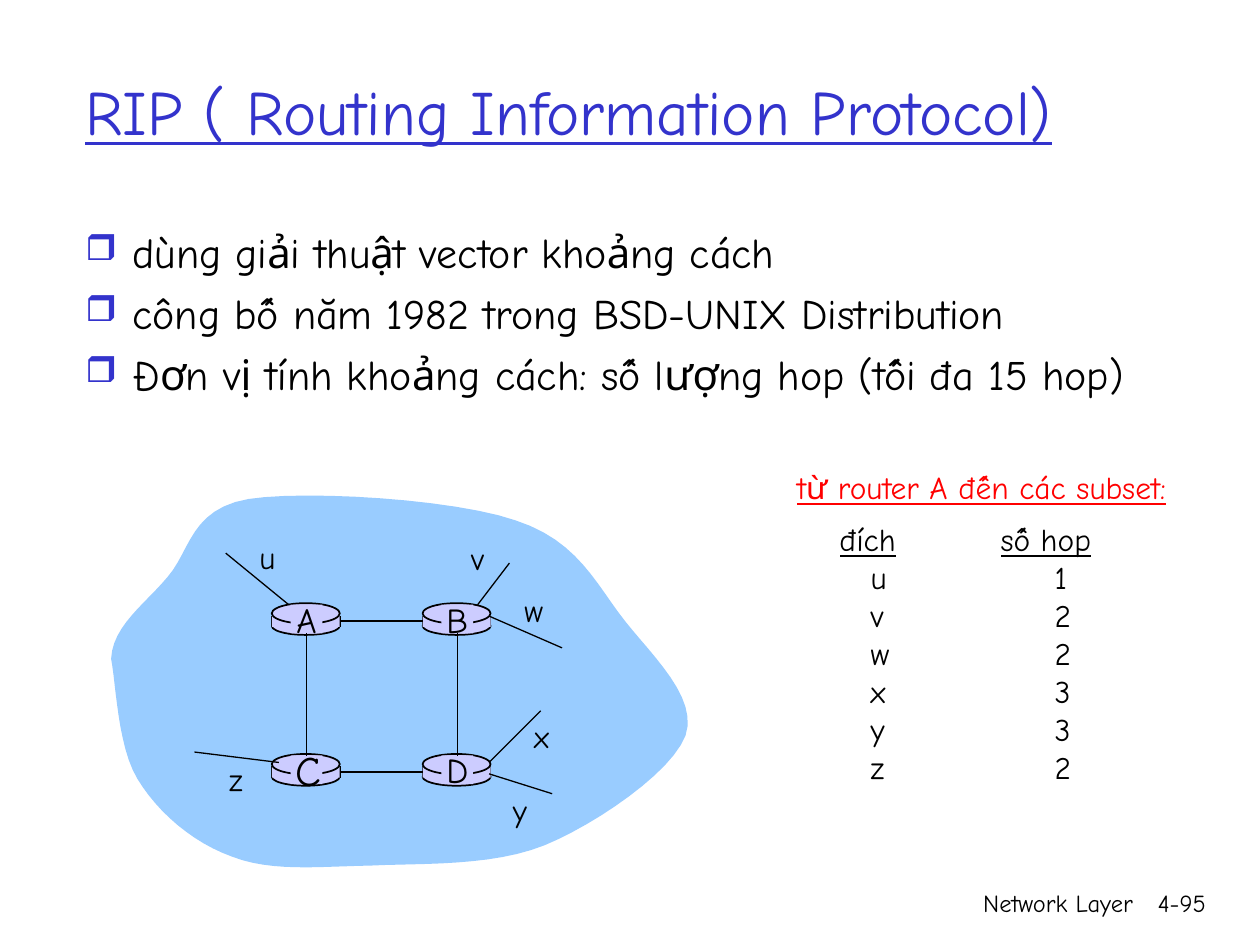
from collections import namedtuple
from dataclasses import dataclass

import lxml.etree
import pptx
import pptx.dml.color
import pptx.enum.shapes
import pptx.enum.text
import pptx.oxml.ns
import pptx.util

Cm, Pt = pptx.util.Cm, pptx.util.Pt
SHAPE = pptx.enum.shapes.MSO_SHAPE
ALIGN = pptx.enum.text.PP_ALIGN
ANCHOR = pptx.enum.text.MSO_ANCHOR
qn = pptx.oxml.ns.qn


@dataclass(frozen=True)
class Theme:
    font: str = "Comic Neue"
    ink: str = "000000"
    accent: str = "3333CC"
    alert: str = "FF0000"
    cloud: str = "99CCFF"
    router: str = "CCCCFF"
    title: int = 36
    body: int = 24
    router_name: int = 20
    label: int = 18
    footer: int = 14


THEME = Theme()


class Box(namedtuple("Box", "left top width height")):
    """Area in centimetres."""

    def inner(self, x, y, width, height):
        return Box(self.left + x, self.top + y, width, height)

    def lengths(self):
        return [Cm(value) for value in self]


SUBNETS = [  # name, link start, link end, name corner
    ("u", (3.58, 2.31), (2.31, 1.27), (2.74, 0.84)),
    ("v", (7.39, 2.31), (8.03, 1.47), (7.01, 0.86)),
    ("w", (7.62, 2.54), (9.09, 3.18), (8.08, 1.91)),
    ("x", (7.62, 5.49), (8.66, 4.45), (8.28, 4.45)),
    ("y", (7.62, 5.72), (8.89, 6.12), (7.85, 5.94)),
    ("z", (3.38, 5.49), (1.68, 5.28), (2.13, 5.31)),
]
CLOUD_START = (0, 3.40)
CLOUD_CURVES = [  # two control points and an end point each
    ((0.03, 2.74), (0.69, 2.29), (1.14, 1.75)),
    ((1.60, 1.22), (1.60, 0.38), (2.77, 0.18)),
    ((3.94, 0), (6.91, 0.18), (8.15, 0.61)),
    ((9.42, 1.02), (9.78, 1.91), (10.36, 2.64)),
    ((10.92, 3.35), (11.84, 4.19), (11.58, 4.95)),
    ((11.30, 5.69), (9.78, 6.73), (8.74, 7.16)),
    ((7.67, 7.59), (6.27, 7.52), (5.23, 7.57)),
    ((4.17, 7.59), (3.23, 7.70), (2.44, 7.39)),
    ((1.65, 7.11), (0.94, 6.50), (0.53, 5.82)),
    ((0.13, 5.16), (0.10, 3.91), CLOUD_START),
]
HOPS = [("u", 1), ("v", 2), ("w", 2), ("x", 3), ("y", 3), ("z", 2)]


def rgb(value):
    return pptx.dml.color.RGBColor.from_string(value)


def add_bullet(paragraph):
    paragraph.space_before = Pt(6)
    props = paragraph._p.get_or_add_pPr()
    props.set("marL", str(Cm(0.95)))
    props.set("indent", str(-Cm(0.95)))
    color = lxml.etree.SubElement(props, qn("a:buClr"))
    lxml.etree.SubElement(color, qn("a:srgbClr"), val=THEME.accent)
    lxml.etree.SubElement(props, qn("a:buSzPct"), val="85000")
    lxml.etree.SubElement(props, qn("a:buChar"), char="❒")


def write(frame, text, size=THEME.label, color=THEME.ink, underline=False,
          align=ALIGN.LEFT, bullet=False):
    """Fill a text frame, one paragraph for each line of text."""
    for index, line in enumerate(text.split("\n")):
        paragraph = frame.add_paragraph() if index else frame.paragraphs[0]
        paragraph.alignment = align
        if bullet:
            add_bullet(paragraph)
        run = paragraph.add_run()
        run.text = line
        run.font.name, run.font.size = THEME.font, Pt(size)
        run.font.color.rgb = rgb(color)
        run.font.underline = underline


def add_text(slide, box, text, wrap=True, anchor=ANCHOR.TOP, **style):
    frame = slide.shapes.add_textbox(*box.lengths()).text_frame
    frame.word_wrap, frame.vertical_anchor = wrap, anchor
    write(frame, text, **style)


def paint(shape, fill, outlined=False):
    shape.shadow.inherit = False
    shape.fill.solid()
    shape.fill.fore_color.rgb = rgb(fill)
    if outlined:
        shape.line.color.rgb, shape.line.width = rgb(THEME.ink), Pt(1)
    else:
        shape.line.fill.background()
    return shape


def add_line(slide, start=(0, 0), end=(0, 0), width=1):
    line = slide.shapes.add_connector(
        pptx.enum.shapes.MSO_CONNECTOR.STRAIGHT, *map(Cm, start + end))
    line.line.color.rgb, line.line.width = rgb(THEME.ink), Pt(width)
    lxml.etree.SubElement(line._element.spPr, qn("a:effectLst"))
    return line


def join(slide, first, first_side, second, second_side):
    line = add_line(slide)
    line.begin_connect(first, first_side)
    line.end_connect(second, second_side)


def draw_cloud(slide, box):
    start, points = CLOUD_START, []
    steps = 12
    for first, second, end in CLOUD_CURVES:
        for t in (step / steps for step in range(1, steps + 1)):
            weights = ((1 - t) ** 3, 3 * t * (1 - t) ** 2, 3 * t * t * (1 - t), t ** 3)
            points.append(tuple(
                Cm(sum(w * p[axis] for w, p in zip(weights, (start, first, second, end))))
                for axis in (0, 1)))
        start = end
    outline = slide.shapes.build_freeform(*map(Cm, CLOUD_START))
    outline.add_line_segments(points, close=True)
    paint(outline.convert_to_shape(Cm(box.left), Cm(box.top)), THEME.cloud)


def draw_router(slide, box, name, size):
    """Draw a router and return its body and its name plate."""
    def piece(preset, *place, outlined=False):
        shape = slide.shapes.add_shape(preset, *box.inner(*place).lengths())
        return paint(shape, THEME.router, outlined)

    piece(SHAPE.OVAL, 0, 0.28, box.width, 0.36, outlined=True)
    for x in (box.left, box.left + box.width):
        add_line(slide, (x, box.top + 0.25), (x, box.top + 0.48))
    body = piece(SHAPE.RECTANGLE, 0, 0.25, box.width, 0.23)
    piece(SHAPE.OVAL, 0, 0, box.width, 0.41, outlined=True)
    plate = piece(SHAPE.RECTANGLE, 0.38, 0.03, 0.64, 0.58)
    add_text(slide, box.inner(0.22, -0.24, 0.96, 1.12), name, wrap=False,
             anchor=ANCHOR.MIDDLE, size=size, align=ALIGN.CENTER)
    return body, plate


def draw_network(slide, box):
    draw_cloud(slide, box)
    pitch = 3.04
    bodies, plates = {}, {}
    for index, name in enumerate("ABCD"):
        row, column = divmod(index, 2)
        place = box.inner(3.24 + column * pitch, 2.28 + row * pitch, 1.37, 0.64)
        size = THEME.body if name == "C" else THEME.router_name
        bodies[name], plates[name] = draw_router(slide, place, name, size)
    for left, right in ("AB", "CD"):
        join(slide, bodies[left], 3, bodies[right], 1)
    for upper, lower in ("AC", "BD"):
        join(slide, plates[upper], 2, plates[lower], 0)
    for name, start, end, corner in SUBNETS:
        ends = [(box.left + x, box.top + y) for x, y in (start, end)]
        add_line(slide, *ends, width=0.75)
        add_text(slide, box.inner(*corner, 0.84, 1.02), name, wrap=False)


def draw_hop_table(slide, box):
    add_text(slide, box.inner(0, 0, box.width, 1.02), "từ router A đến các subset:",
             wrap=False, color=THEME.alert, underline=True)
    rows = [("đích", "số hop")] + HOPS
    widths, indents = (3.25, 2.4), (0.63, 1.09)
    row_height = 0.76
    place = box.inner(1.1, 1.22, sum(widths), row_height * len(rows))
    table = slide.shapes.add_table(len(rows), len(widths), *place.lengths()).table
    table.first_row = table.horz_banding = False
    for column, width in zip(table.columns, widths):
        column.width = Cm(width)
    for r, values in enumerate(rows):
        for c, value in enumerate(values):
            cell = table.cell(r, c)
            cell.fill.background()
            cell.margin_top = cell.margin_bottom = cell.margin_right = 0
            cell.margin_left = Cm(indents[c] if r else 0)
            cell.vertical_anchor = ANCHOR.MIDDLE
            write(cell.text_frame, str(value), underline=r == 0)


def draw_heading(slide, box):
    add_text(slide, box.inner(0, 0, 22.71, 3.18), "RIP ( Routing Information Protocol)",
             anchor=ANCHOR.MIDDLE, size=THEME.title, color=THEME.accent, underline=True)
    add_text(slide, box.inner(0, 3.81, box.width, 4.7),
             "dùng giải thuật vector khoảng cách\n"
             "công bố năm 1982 trong BSD-UNIX Distribution\n"
             "Đơn vị tính khoảng cách: số lượng hop (tối đa 15 hop)",
             size=THEME.body, bullet=True)


def draw_footer(slide, box):
    style = {"size": THEME.footer, "align": ALIGN.RIGHT}
    add_text(slide, box.inner(0, 0, 8.05, box.height), "Network Layer", **style)
    add_text(slide, box.inner(7.64, 0, 1.88, box.height), "4-95", **style)


def main():
    deck = pptx.Presentation()
    deck.slide_width, deck.slide_height = Cm(25.4), Cm(19.05)
    slide = deck.slides.add_slide(deck.slide_layouts[6])
    draw_footer(slide, Box(15.04, 17.78, 9.52, 1.27))
    draw_heading(slide, Box(1.47, 0.64, 22.86, 8.51))
    draw_network(slide, Box(2.24, 9.88, 11.86, 7.7))
    draw_hop_table(slide, Box(15.82, 9.32, 7.98, 6.6))
    deck.save("out.pptx")


if __name__ == "__main__":
    main()
